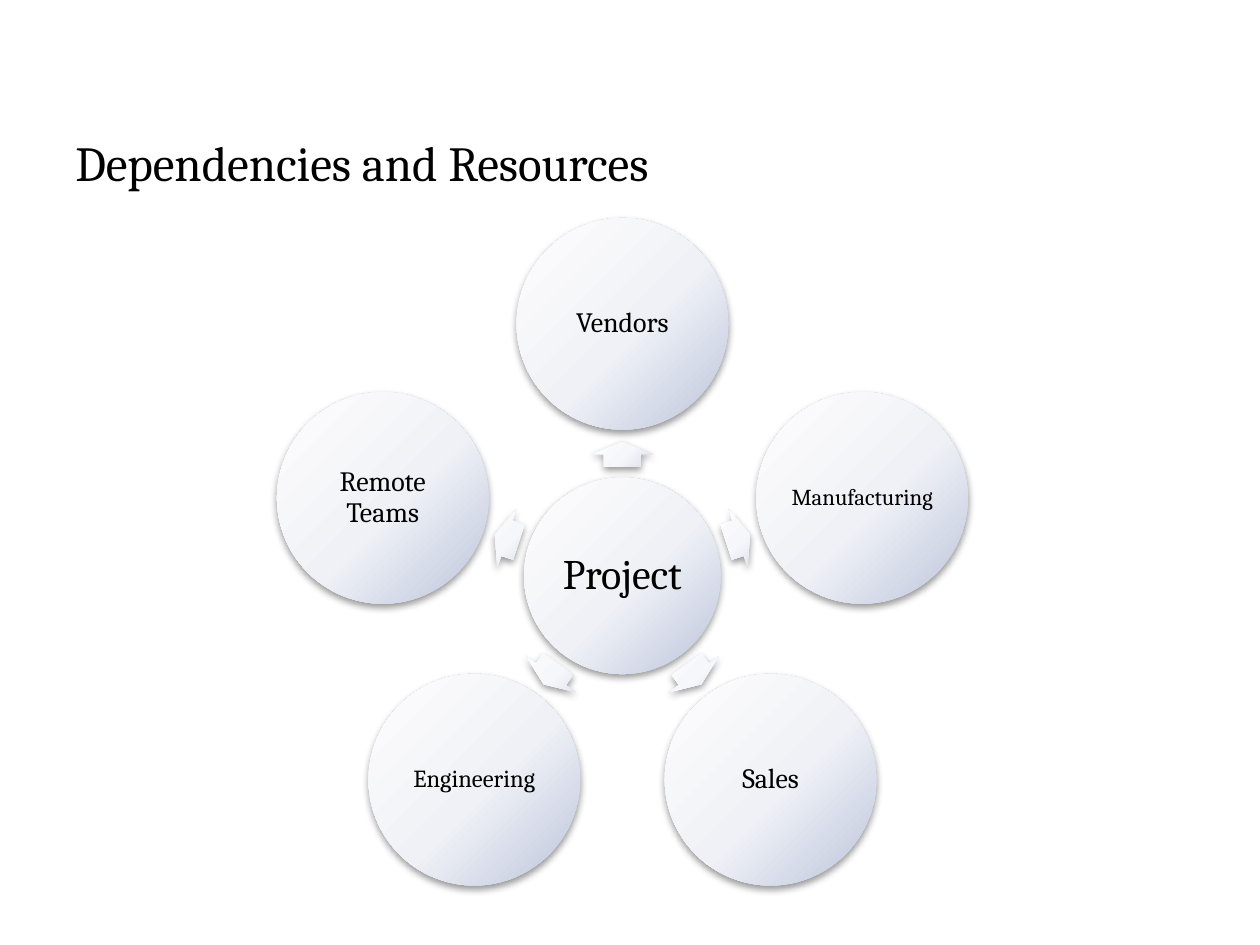
from math import cos, radians, sin

from pptx import Presentation
from pptx.dml.color import RGBColor
from pptx.enum.shapes import MSO_SHAPE
from pptx.enum.text import MSO_ANCHOR, PP_ALIGN
from pptx.oxml import parse_xml
from pptx.oxml.ns import nsdecls
from pptx.util import Inches, Pt

OVAL, ARROW = MSO_SHAPE.OVAL, MSO_SHAPE.RIGHT_ARROW
TOP, MIDDLE = MSO_ANCHOR.TOP, MSO_ANCHOR.MIDDLE
CENTER = PP_ALIGN.CENTER

BLACK = RGBColor(0x00, 0x00, 0x00)
CIRCLE_SHADES = [RGBColor(0xFE, 0xFE, 0xFE), RGBColor(0xEF, 0xF1, 0xF6), RGBColor(0xBC, 0xC4, 0xDB)]
ARROW_SHADES = [RGBColor(0xFE, 0xFE, 0xFF), RGBColor(0xF6, 0xF7, 0xFA), RGBColor(0xDA, 0xDE, 0xEA)]
STOPS = [0, 55, 100]
FONT = "Cambria"

CENTER_X, CENTER_Y = 4.94, 4.57
HUB_SIZE, PARTNER_SIZE = 1.56, 1.68
PARTNER_RADIUS, ARROW_RADIUS = 2.0, 0.965
ARROW_LENGTH, ARROW_WIDTH = 0.2, 0.49
PARTNERS = [("Vendors", 16), ("Manufacturing", 13), ("Sales", 16), ("Engineering", 14), ("Remote Teams", 16)]


def add_shaded(kind, radius, angle, width, height, shades):
    x = CENTER_X + radius * cos(radians(angle))
    y = CENTER_Y + radius * sin(radians(angle))
    shape = slide.shapes.add_shape(
        kind, Inches(x - width / 2), Inches(y - height / 2), Inches(width), Inches(height))
    stops = "".join(
        f'<a:gs pos="{stop * 1000}"><a:srgbClr val="{shade}"/></a:gs>'
        for stop, shade in zip(STOPS, shades))
    properties = shape.element.spPr
    properties.append(parse_xml(
        f'<a:gradFill {nsdecls("a")} rotWithShape="1"><a:gsLst>{stops}</a:gsLst>'
        '<a:path path="circle"><a:fillToRect l="-40000" t="-90000" r="140000" b="190000"/></a:path>'
        '</a:gradFill>'))
    shape.line.fill.background()
    properties.append(parse_xml(
        f'<a:effectLst {nsdecls("a")}><a:outerShdw blurRad="{Pt(4.1)}" dist="{Pt(2)}" dir="5400000" '
        f'rotWithShape="0"><a:srgbClr val="{BLACK}"><a:alpha val="40000"/></a:srgbClr>'
        '</a:outerShdw></a:effectLst>'))
    return shape


def add_circle(label, points, radius, angle, size, inset):
    circle = add_shaded(OVAL, radius, angle, size, size, CIRCLE_SHADES)
    frame = circle.text_frame
    frame.word_wrap = True
    frame.vertical_anchor = MIDDLE
    frame.margin_left = frame.margin_right = Inches(inset)
    frame.margin_top = frame.margin_bottom = Inches(inset)
    paragraph = frame.paragraphs[0]
    paragraph.text = label
    paragraph.alignment = CENTER
    paragraph.line_spacing = 0.9
    paragraph.font.name = FONT
    paragraph.font.size = Pt(points)
    paragraph.font.color.rgb = BLACK


prs = Presentation()
prs.slide_width, prs.slide_height = Inches(10), Inches(7.5)
slide = prs.slides.add_slide(prs.slide_layouts[6])

title = slide.shapes.add_textbox(Inches(0.5), Inches(1), Inches(9), Inches(1)).text_frame
title.word_wrap = True
title.vertical_anchor = TOP
heading = title.paragraphs[0]
heading.text = "Dependencies and Resources"
heading.font.name = FONT
heading.font.size = Pt(28)
heading.font.color.rgb = BLACK

add_circle("Project", 24, 0, 0, HUB_SIZE, 0.03)

for index, (partner, points) in enumerate(PARTNERS):
    angle = -90 + index * 360 / len(PARTNERS)
    arrow = add_shaded(ARROW, ARROW_RADIUS, angle, ARROW_LENGTH, ARROW_WIDTH, ARROW_SHADES)
    arrow.adjustments[0] = 0.6
    arrow.adjustments[1] = 0.5
    arrow.rotation = angle % 360
    add_circle(partner, points, PARTNER_RADIUS, angle, PARTNER_SIZE, 0)

prs.save("out.pptx")
